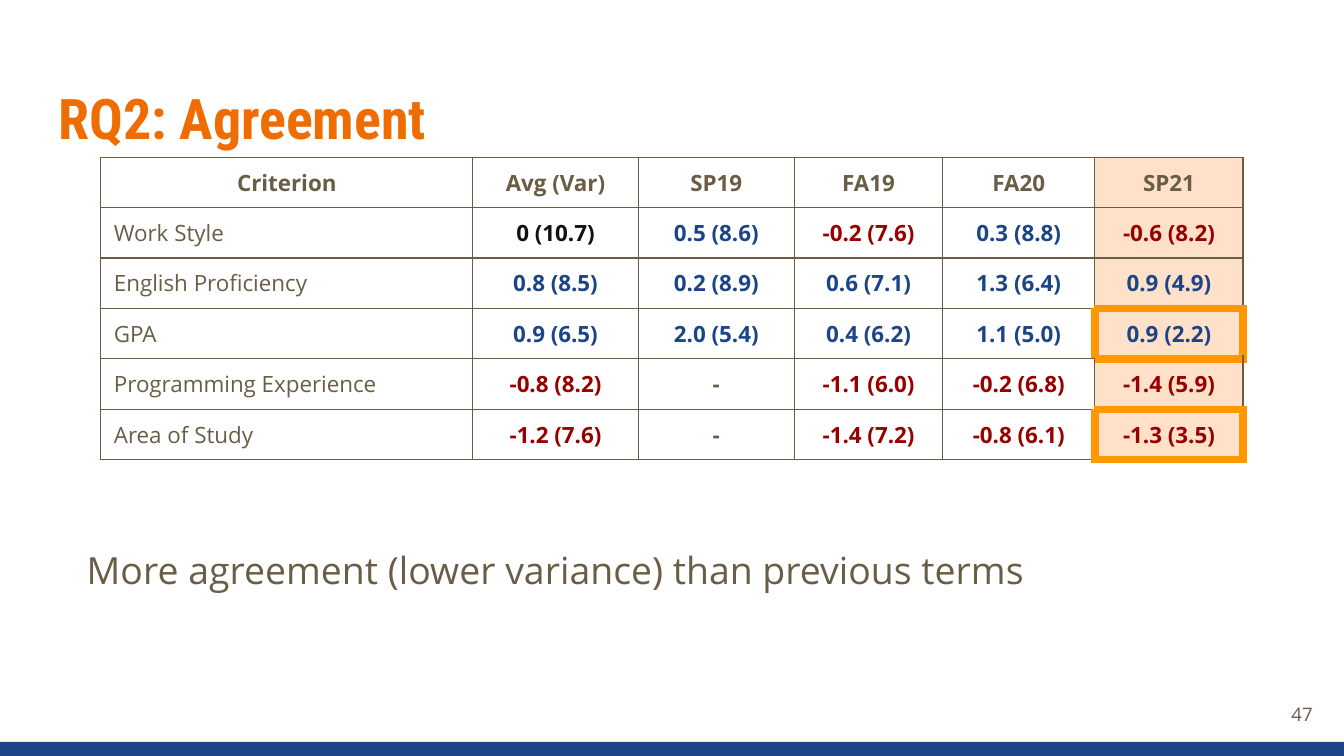
import pptx
import pptx.dml.color
import pptx.enum.shapes
import pptx.enum.text
import pptx.oxml
import pptx.oxml.ns
import pptx.util

Inches = pptx.util.Inches
Pt = pptx.util.Pt
RGBColor = pptx.dml.color.RGBColor
Align = pptx.enum.text.PP_ALIGN
Anchor = pptx.enum.text.MSO_ANCHOR

ORANGE = RGBColor(0xEF, 0x6C, 0x00)
HIGHLIGHT = RGBColor(0xFF, 0x98, 0x00)
PEACH = RGBColor(0xFF, 0xE1, 0xC9)
BROWN = RGBColor(0x69, 0x5D, 0x46)
BLUE = RGBColor(0x1C, 0x45, 0x87)
RED = RGBColor(0x98, 0x00, 0x00)
BLACK = RGBColor(0x11, 0x11, 0x11)

MARGIN = Inches(0.13)
COLUMN_WIDTHS = (3.69, 1.64, 1.55, 1.47, 1.51, 1.47)
ROW_HEIGHT = 0.5
ROWS = (
    ("Criterion", "Avg (Var)", "SP19", "FA19", "FA20", "SP21"),
    ("Work Style", "0 (10.7)", "0.5 (8.6)", "-0.2 (7.6)", "0.3 (8.8)", "-0.6 (8.2)"),
    ("English Proficiency", "0.8 (8.5)", "0.2 (8.9)", "0.6 (7.1)", "1.3 (6.4)", "0.9 (4.9)"),
    ("GPA", "0.9 (6.5)", "2.0 (5.4)", "0.4 (6.2)", "1.1 (5.0)", "0.9 (2.2)"),
    ("Programming Experience", "-0.8 (8.2)", "-", "-1.1 (6.0)", "-0.2 (6.8)", "-1.4 (5.9)"),
    ("Area of Study", "-1.2 (7.6)", "-", "-1.4 (7.2)", "-0.8 (6.1)", "-1.3 (3.5)"),
)
LATEST_COLUMN = 5
HIGHLIGHTED_CELLS = {(3, LATEST_COLUMN), (5, LATEST_COLUMN)}
SIDES = (("lnL", 0, -1), ("lnR", 0, 1), ("lnT", -1, 0), ("lnB", 1, 0))


def write_text(frame, text, *, size, color=BROWN, font="Open Sans", bold=False,
               align=Align.LEFT, line_spacing=1.0, space_after=0):
    paragraph = frame.paragraphs[0]
    paragraph.alignment = align
    paragraph.line_spacing = line_spacing
    paragraph.space_before = Pt(0)
    paragraph.space_after = Pt(space_after)
    run = paragraph.add_run()
    run.text = text
    run.font.size = Pt(size)
    run.font.name = font
    run.font.bold = bold
    run.font.color.rgb = color
    return paragraph


def place_text_shape(shape, left, top, width, height, anchor):
    shape.left, shape.top = Inches(left), Inches(top)
    shape.width, shape.height = Inches(width), Inches(height)
    frame = shape.text_frame
    frame.word_wrap = True
    frame.auto_size = pptx.enum.text.MSO_AUTO_SIZE.NONE
    frame.vertical_anchor = anchor
    frame.margin_left = frame.margin_right = MARGIN
    frame.margin_top = frame.margin_bottom = MARGIN
    return frame


def remove_bullet(paragraph):
    properties = paragraph._p.get_or_add_pPr()
    properties.set("marL", "0")
    properties.set("indent", "0")
    properties.append(pptx.oxml.parse_xml(
        f"<a:buNone {pptx.oxml.ns.nsdecls('a')}/>"))


def add_footer_bar(slide):
    bar = slide.shapes.add_shape(
        pptx.enum.shapes.MSO_SHAPE.RECTANGLE,
        Inches(0), Inches(7.36), Inches(13.33), Inches(0.14))
    bar.shadow.inherit = False
    bar.fill.solid()
    bar.fill.fore_color.rgb = BLUE
    bar.line.fill.background()


def value_color(text):
    if text == "-":
        return BROWN
    if text.startswith("-"):
        return RED
    return BLACK if text.startswith("0 ") else BLUE


def set_borders(cell, row, column):
    properties = cell._tc.get_or_add_tcPr()
    for index, (side, row_step, column_step) in enumerate(SIDES):
        neighbour = (row + row_step, column + column_step)
        highlighted = HIGHLIGHTED_CELLS & {(row, column), neighbour}
        color, width = (HIGHLIGHT, Pt(6)) if highlighted else (BROWN, Pt(1))
        properties.insert(index, pptx.oxml.parse_xml(
            f'<a:{side} {pptx.oxml.ns.nsdecls("a")} w="{width}">'
            f'<a:solidFill><a:srgbClr val="{color}"/></a:solidFill>'
            f'<a:prstDash val="solid"/></a:{side}>'))


def format_cell(cell, text, row, column):
    cell.vertical_anchor = Anchor.MIDDLE
    cell.margin_left = cell.margin_right = MARGIN
    cell.margin_top = cell.margin_bottom = 0
    is_header = row == 0
    is_label = column == 0 and not is_header
    write_text(cell.text_frame, text, size=16, bold=not is_label,
               color=BROWN if is_header or is_label else value_color(text),
               align=Align.LEFT if is_label else Align.CENTER)
    if column == LATEST_COLUMN:
        cell.fill.solid()
        cell.fill.fore_color.rgb = PEACH
    else:
        cell.fill.background()
    set_borders(cell, row, column)


def add_agreement_table(slide):
    table = slide.shapes.add_table(
        len(ROWS), len(COLUMN_WIDTHS), Inches(1), Inches(1.56),
        Inches(sum(COLUMN_WIDTHS)), Inches(ROW_HEIGHT * len(ROWS))).table
    table.first_row = False
    table.horz_banding = False
    for column, width in zip(table.columns, COLUMN_WIDTHS):
        column.width = Inches(width)
    for row, texts in enumerate(ROWS):
        table.rows[row].height = Inches(ROW_HEIGHT)
        for column, text in enumerate(texts):
            format_cell(table.cell(row, column), text, row, column)


def main():
    presentation = pptx.Presentation()
    presentation.slide_width = Inches(13.33)
    presentation.slide_height = Inches(7.5)
    slide = presentation.slides.add_slide(presentation.slide_layouts[1])

    add_footer_bar(slide)
    title = place_text_shape(slide.shapes.title, 0.45, 0.65, 12.42, 1.03, Anchor.MIDDLE)
    write_text(title, "RQ2: Agreement", size=40, color=ORANGE,
               font="Roboto Condensed", bold=True)
    body = place_text_shape(slide.placeholders[1], 0.73, 5.23, 12.42, 1.08, Anchor.TOP)
    remove_bullet(write_text(
        body, "More agreement (lower variance) than previous terms",
        size=26.7, line_spacing=1.15, space_after=21.3))
    number_box = slide.shapes.add_textbox(0, 0, 0, 0)
    number = place_text_shape(number_box, 12.35, 6.8, 0.8, 0.57, Anchor.MIDDLE)
    write_text(number, "47", size=13.3, align=Align.RIGHT)
    add_agreement_table(slide)

    presentation.save("out.pptx")


if __name__ == "__main__":
    main()
